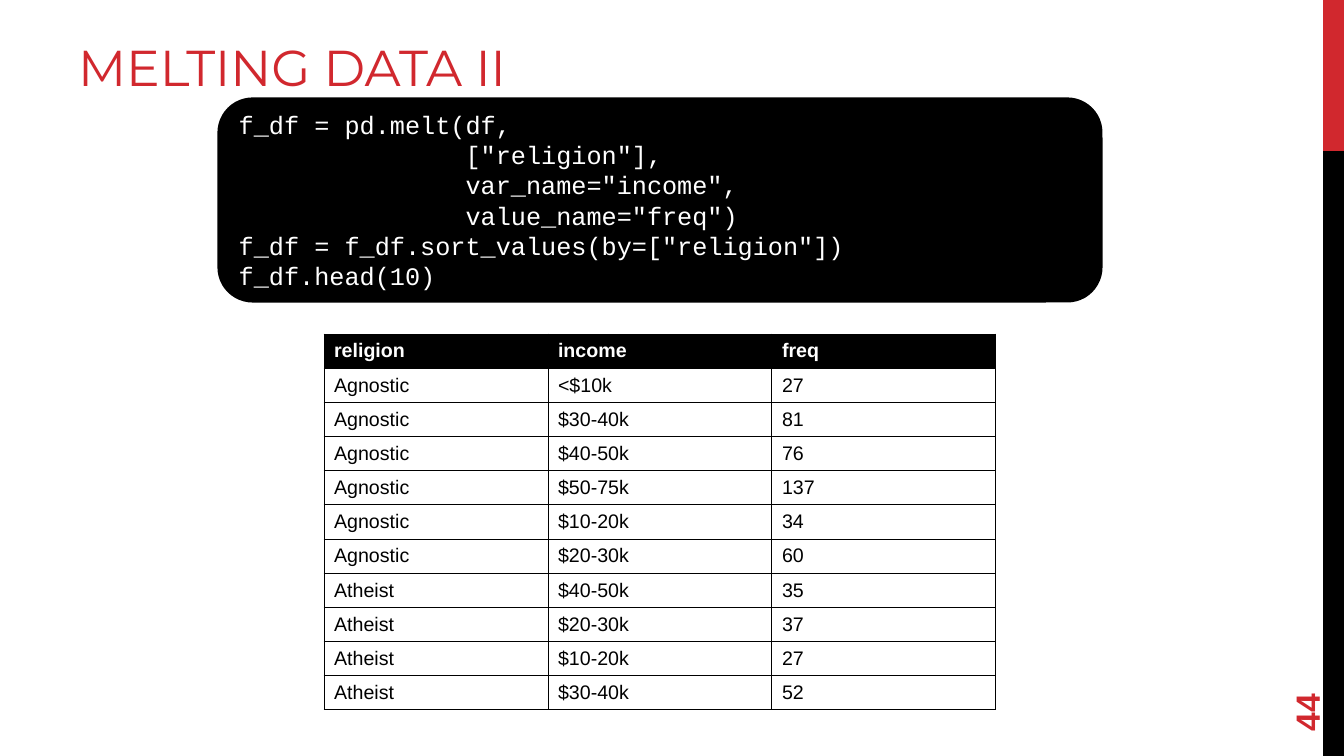
from pptx import Presentation
from pptx.dml.color import RGBColor
from pptx.enum import shapes, text
from pptx.oxml import parse_xml
from pptx.oxml import ns
from pptx.util import Pt

TITLE = "MELTING DATA II"
PAGE_NUMBER = "44"
CODE = [
    'f_df = pd.melt(df,',
    '               ["religion"],',
    '               var_name="income",',
    '               value_name="freq")',
    'f_df = f_df.sort_values(by=["religion"])',
    'f_df.head(10)',
]
RECORDS = [
    ("religion", "income", "freq"),
    ("Agnostic", "<$10k", "27"),
    ("Agnostic", "$30-40k", "81"),
    ("Agnostic", "$40-50k", "76"),
    ("Agnostic", "$50-75k", "137"),
    ("Agnostic", "$10-20k", "34"),
    ("Agnostic", "$20-30k", "60"),
    ("Atheist", "$40-50k", "35"),
    ("Atheist", "$20-30k", "37"),
    ("Atheist", "$10-20k", "27"),
    ("Atheist", "$30-40k", "52"),
]
COLORS = {"red": "D1282E", "black": "000000", "white": "FFFFFF"}
SIDE_BARS = [("red", 0, 151), ("black", 151, 605)]
BAR_LEFT, BAR_WIDTH = 1323, 21
SLIDE_SIZE = (1344, 756)
TITLE_BOX = (68, 17, 851, 85)
PAGE_BOX = (1234, 642, 145, 53)
CODE_BOX = (219, 99, 882, 202)
TABLE_BOX = (324, 334, 672, 376)
EMU_PER_PX = 914400 / 100.8


def px(*lengths):
    return [round(length * EMU_PER_PX) for length in lengths]


def color(name):
    return RGBColor.from_string(COLORS[name])


def write(frame, lines, font, size, ink, bold=False, anchor=text.MSO_ANCHOR.MIDDLE):
    frame.vertical_anchor = anchor
    for index, line in enumerate(lines):
        paragraph = frame.paragraphs[0] if index == 0 else frame.add_paragraph()
        paragraph.alignment = text.PP_ALIGN.LEFT
        run = paragraph.add_run()
        run.text = line
        run.font.name = font
        run.font.size = Pt(size)
        run.font.bold = bold
        run.font.color.rgb = color(ink)


def add_block(slide, kind, box, fill):
    block = slide.shapes.add_shape(kind, *px(*box))
    block.shadow.inherit = False
    block.fill.solid()
    block.fill.fore_color.rgb = color(fill)
    block.line.fill.background()
    return block


def add_borders(cell):
    properties = cell._tc.get_or_add_tcPr()
    for position, side in enumerate(("lnL", "lnR", "lnT", "lnB")):
        border = parse_xml(
            f'<a:{side} {ns.nsdecls("a")} w="{Pt(0.75)}"><a:solidFill>'
            f'<a:srgbClr val="{COLORS["black"]}"/></a:solidFill></a:{side}>'
        )
        properties.insert(position, border)


def add_records(slide):
    table = slide.shapes.add_table(len(RECORDS), len(RECORDS[0]), *px(*TABLE_BOX)).table
    table.horz_banding = False
    for row, record in enumerate(RECORDS):
        header = row == 0
        for column, value in enumerate(record):
            cell = table.cell(row, column)
            if header:
                cell.fill.solid()
                cell.fill.fore_color.rgb = color("black")
            else:
                cell.fill.background()
            add_borders(cell)
            cell.vertical_anchor = text.MSO_ANCHOR.MIDDLE
            write(cell.text_frame, [value], "Arial", 14,
                  "white" if header else "black", header)


def main():
    deck = Presentation()
    deck.slide_width, deck.slide_height = px(*SLIDE_SIZE)
    slide = deck.slides.add_slide(deck.slide_layouts[5])

    for fill, top, height in SIDE_BARS:
        add_block(slide, shapes.MSO_SHAPE.RECTANGLE, (BAR_LEFT, top, BAR_WIDTH, height), fill)

    page = slide.shapes.add_textbox(*px(*PAGE_BOX))
    page.rotation = 270
    page.text_frame.word_wrap = True
    write(page.text_frame, [PAGE_NUMBER], "Arial", 24, "red", True)

    code = add_block(slide, shapes.MSO_SHAPE.ROUNDED_RECTANGLE, CODE_BOX, "black")
    code.line.color.rgb = color("black")
    code.line.width = Pt(2.25)
    write(code.text_frame, CODE, "Courier New", 18, "white")

    add_records(slide)

    title = slide.shapes.title
    title.left, title.top, title.width, title.height = px(*TITLE_BOX)
    title.text_frame.auto_size = text.MSO_AUTO_SIZE.NONE
    write(title.text_frame, [TITLE], "Montserrat", 36, "red", anchor=text.MSO_ANCHOR.BOTTOM)

    deck.save("out.pptx")


if __name__ == "__main__":
    main()
